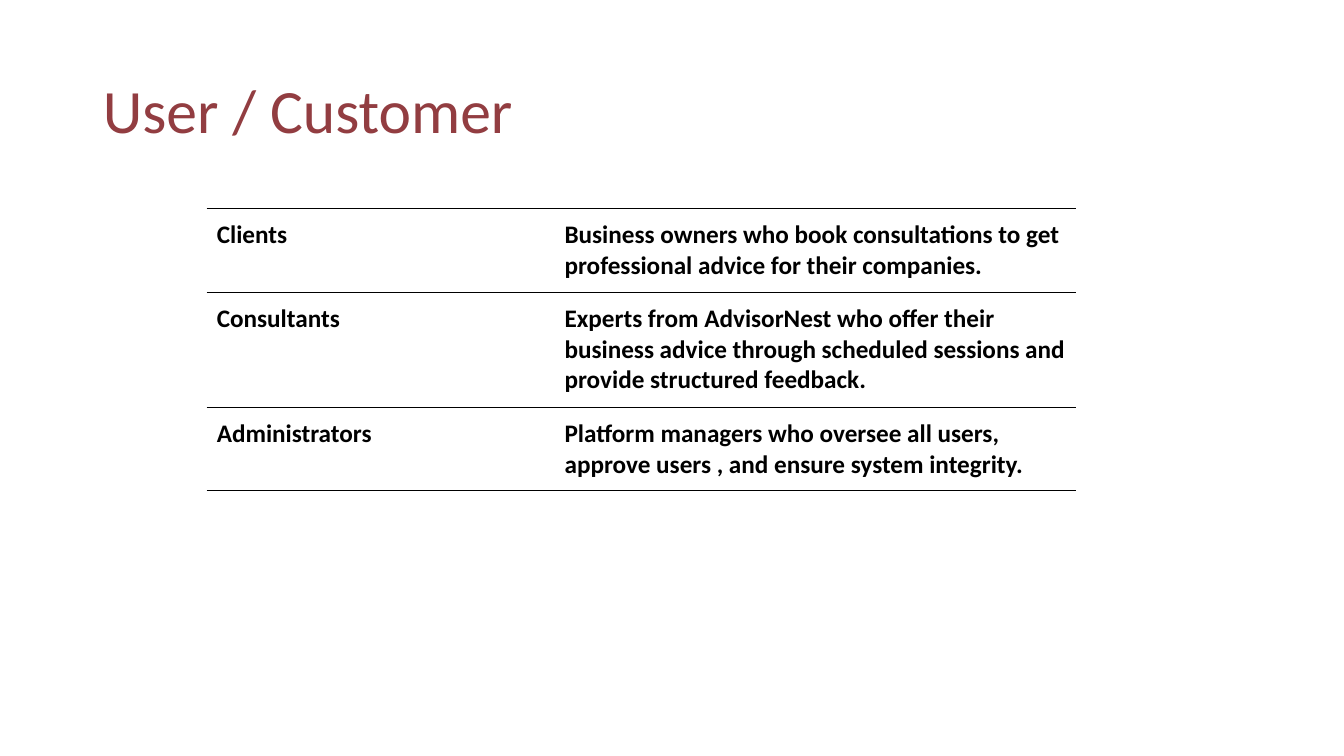
from lxml.etree import SubElement
from pptx import Presentation
from pptx.dml.color import RGBColor
from pptx.enum.text import MSO_ANCHOR, PP_ALIGN
from pptx.oxml.ns import qn
from pptx.util import Inches, Pt

TITLE = "User / Customer"
ROLES = [
    ("Clients", "Business owners who book consultations to get "
                "professional advice for their companies."),
    ("Consultants", "Experts from AdvisorNest who offer their business advice "
                    "through scheduled sessions and provide structured feedback."),
    ("Administrators", "Platform managers who oversee all users, "
                       "approve users , and ensure system integrity."),
]
COLORS = {"title": "923D41", "text": "000000", "rule": "000000"}
FONT = "Calibri"
COLUMN_WIDTHS = (3.38, 5.24)
ROW_HEIGHTS = (0.83, 1.14, 0.83)
TABLE_LEFT, TABLE_TOP = 2.05, 2.07
OUTER_MARGIN, INNER_MARGIN, VERTICAL_MARGIN = 0.1, 0.17, 0.11


def style_paragraph(para, size, color, bold=False):
    para.alignment = PP_ALIGN.LEFT
    para.font.name = FONT
    para.font.size = Pt(size)
    para.font.bold = bold
    para.font.color.rgb = RGBColor.from_string(color)


def rule_cell(cell):
    """Draw thin lines above and below the cell and none at its sides."""
    cell.fill.background()
    properties = cell._tc.get_or_add_tcPr()
    for index, side in enumerate(("lnL", "lnR", "lnT", "lnB")):
        line = SubElement(properties, qn(f"a:{side}"), w=str(Pt(0.75)))
        if side in ("lnT", "lnB"):
            fill = SubElement(line, qn("a:solidFill"))
            SubElement(fill, qn("a:srgbClr"), val=COLORS["rule"])
        else:
            SubElement(line, qn("a:noFill"))
        properties.insert(index, line)


def add_title(page):
    title = page.shapes.title
    title.left, title.top = Inches(0.92), Inches(0.4)
    title.width, title.height = Inches(11.5), Inches(1.45)
    frame = title.text_frame
    frame.text = TITLE
    frame.vertical_anchor = MSO_ANCHOR.MIDDLE
    para = frame.paragraphs[0]
    para.line_spacing = 0.9
    style_paragraph(para, 44, COLORS["title"])


def add_role_table(page):
    table = page.shapes.add_table(
        len(ROLES), len(COLUMN_WIDTHS), Inches(TABLE_LEFT), Inches(TABLE_TOP),
        Inches(sum(COLUMN_WIDTHS)), Inches(sum(ROW_HEIGHTS))).table
    table.first_row = table.horz_banding = False
    for column, width in zip(table.columns, COLUMN_WIDTHS):
        column.width = Inches(width)
    for row, height, texts in zip(table.rows, ROW_HEIGHTS, ROLES):
        row.height = Inches(height)
        for index, (cell, text) in enumerate(zip(row.cells, texts)):
            margins = (OUTER_MARGIN, INNER_MARGIN)
            left, right = margins if index == 0 else margins[::-1]
            cell.margin_left, cell.margin_right = Inches(left), Inches(right)
            cell.margin_top = cell.margin_bottom = Inches(VERTICAL_MARGIN)
            cell.vertical_anchor = MSO_ANCHOR.TOP
            cell.text = text
            style_paragraph(cell.text_frame.paragraphs[0], 18, COLORS["text"], bold=True)
            rule_cell(cell)


def main():
    deck = Presentation()
    deck.slide_width, deck.slide_height = Inches(13.33), Inches(7.5)
    page = deck.slides.add_slide(deck.slide_layouts[5])
    add_title(page)
    add_role_table(page)
    deck.save("out.pptx")


if __name__ == "__main__":
    main()
